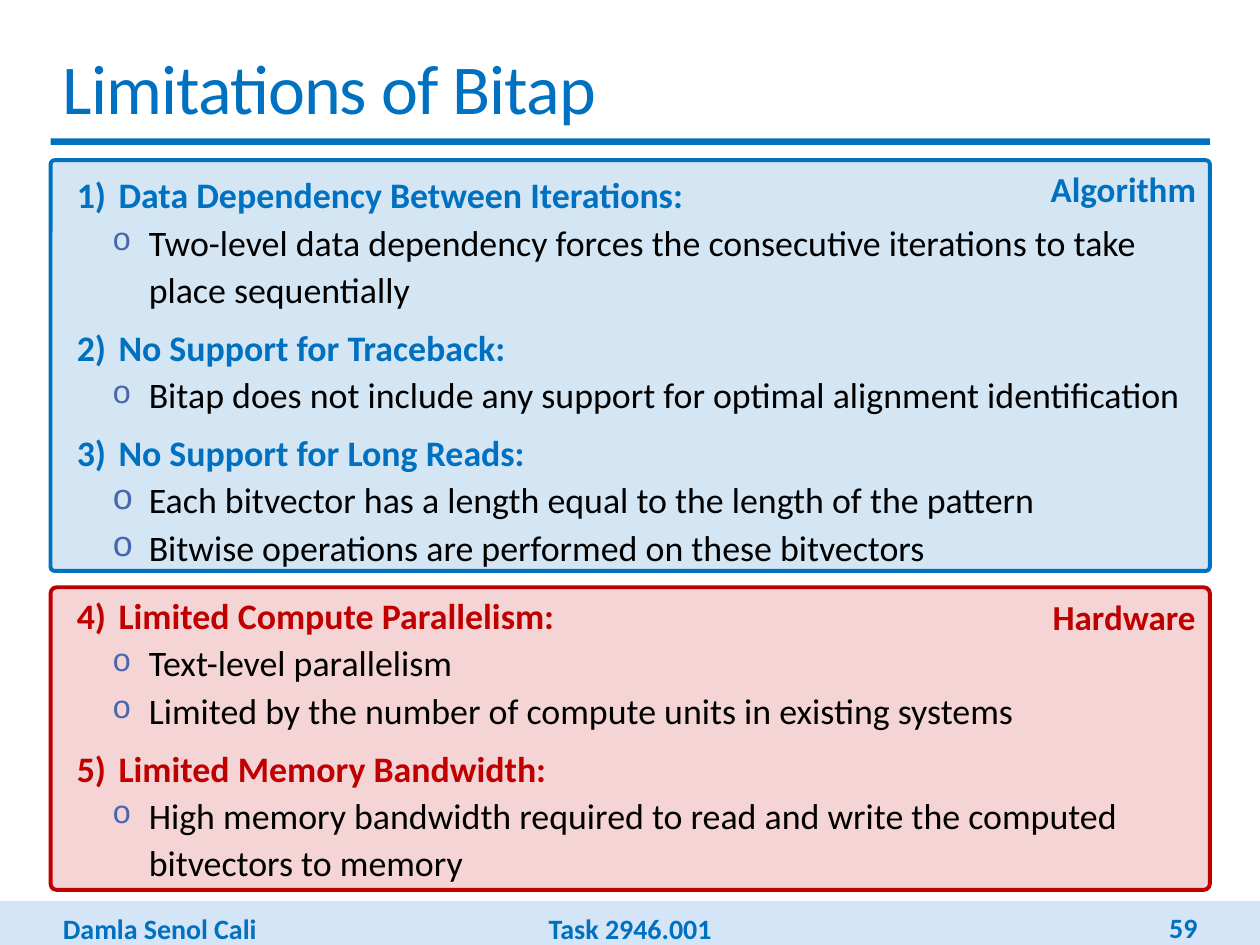
"""Build the slide on the limitations of the Bitap algorithm."""
from lxml import etree
from pptx import Presentation
from pptx.dml.color import RGBColor
from pptx.enum.shapes import MSO_SHAPE
from pptx.enum.text import MSO_ANCHOR, PP_ALIGN
from pptx.oxml.ns import qn
from pptx.util import Cm, Pt

RECTANGLE, ROUNDED = MSO_SHAPE.RECTANGLE, MSO_SHAPE.ROUNDED_RECTANGLE
TOP, MIDDLE = MSO_ANCHOR.TOP, MSO_ANCHOR.MIDDLE
LEFT, CENTER, RIGHT = PP_ALIGN.LEFT, PP_ALIGN.CENTER, PP_ALIGN.RIGHT

BLUE = RGBColor(0x00, 0x70, 0xC0)
RED = RGBColor(0xC0, 0x00, 0x00)
PALE_BLUE = RGBColor(0xD4, 0xE5, 0xF7)
INDIGO = RGBColor(0x4A, 0x66, 0xAC)
BLACK = RGBColor(0x00, 0x00, 0x00)

MARGIN, CONTENT_WIDTH = Cm(1.02), Cm(23.37)
PANEL_ALPHA = 17000

LIMITATIONS = [
    ("Data Dependency Between Iterations:", BLUE, 0, 90,
     ["Two-level data dependency forces the consecutive iterations to take place sequentially"]),
    ("No Support for Traceback:", BLUE, 6, 90,
     ["Bitap does not include any support for optimal alignment identification"]),
    ("No Support for Long Reads:", BLUE, 6, 100,
     ["Each bitvector has a length equal to the length of the pattern",
      "Bitwise operations are performed on these bitvectors"]),
    ("Limited Compute Parallelism:", RED, 12, 90,
     ["Text-level parallelism",
      "Limited by the number of compute units in existing systems"]),
    ("Limited Memory Bandwidth:", RED, 6, 90,
     ["High memory bandwidth required to read and write the computed bitvectors to memory"]),
]


def set_format(target, values):
    """Set each named attribute of the target."""
    for attribute, value in values.items():
        setattr(target, attribute, value)


def write(paragraph, text, size, color, bold=True):
    """Add one formatted run to the paragraph and return it."""
    run = paragraph.add_run()
    run.text = text
    set_format(run.font, {"name": "Calibri", "size": Pt(size), "bold": bold})
    run.font.color.rgb = color
    return run


def add_bar(slide, left, top, width, height, color):
    """Add a plain filled bar."""
    bar = slide.shapes.add_shape(RECTANGLE, left, top, width, height)
    bar.shadow.inherit = False
    bar.fill.solid()
    bar.fill.fore_color.rgb = color
    bar.line.fill.background()


def add_panel(slide, top, height, color, label, corner):
    """Add a translucent rounded panel with a label at its top right."""
    panel = slide.shapes.add_shape(ROUNDED, MARGIN, top, CONTENT_WIDTH, height)
    panel.shadow.inherit = False
    panel.adjustments[0] = corner
    panel.fill.solid()
    panel.fill.fore_color.rgb = color
    tint = panel.fill._xPr.find(qn("a:solidFill"))[0]
    etree.SubElement(tint, qn("a:alpha"), val=str(PANEL_ALPHA))
    panel.line.color.rgb = color
    panel.line.width = Pt(2.25)
    panel.text_frame.vertical_anchor = TOP
    heading = panel.text_frame.paragraphs[0]
    heading.alignment = RIGHT
    write(heading, label, 20, color)


def add_frame(slide, left, top, width, height, anchor=TOP):
    """Add a wrapping text box and return its text frame."""
    frame = slide.shapes.add_textbox(left, top, width, height).text_frame
    set_format(frame, {"word_wrap": True, "vertical_anchor": anchor})
    return frame


def add_label(slide, box, text, size=16, align=LEFT, anchor=TOP, bold=True):
    """Add a single line of blue text and return its run."""
    paragraph = add_frame(slide, *box, anchor).paragraphs[0]
    paragraph.alignment = align
    return write(paragraph, text, size, BLUE, bold)


def set_marker(paragraph, margin, hang, color, number=None, percent=100):
    """Give the paragraph a number, or a round bullet when there is none."""
    properties = paragraph._p.get_or_add_pPr()
    properties.set("marL", str(margin))
    properties.set("indent", str(-hang))
    marker_color = etree.SubElement(properties, qn("a:buClr"))
    etree.SubElement(marker_color, qn("a:srgbClr"), val=str(color))
    etree.SubElement(properties, qn("a:buSzPct"), val=str(percent * 1000))
    if number:
        etree.SubElement(properties, qn("a:buFont"), typeface="Calibri")
        etree.SubElement(properties, qn("a:buAutoNum"),
                         type="arabicParenR", startAt=str(number))
    else:
        etree.SubElement(properties, qn("a:buFont"), typeface="Courier New")
        etree.SubElement(properties, qn("a:buChar"), char="o")


def add_limitations(slide):
    """Add the numbered limitations with their bulleted details."""
    frame = add_frame(slide, MARGIN, Cm(3.28), CONTENT_WIDTH, Cm(13.89))
    set_format(frame, {"margin_left": 0, "margin_right": 0})
    for number, (title, color, gap, percent, details) in enumerate(LIMITATIONS, 1):
        heading = frame.paragraphs[0] if number == 1 else frame.add_paragraph()
        set_marker(heading, Cm(1.37), Cm(0.84), color, number)
        set_format(heading, {"line_spacing": 1.1, "space_before": Pt(gap)})
        write(heading, title, 20.5, color)
        for detail in details:
            point = frame.add_paragraph()
            set_marker(point, Cm(1.98), Cm(0.74), INDIGO, percent=percent)
            set_format(point, {"level": 1, "line_spacing": 1.1, "space_before": Pt(0)})
            write(point, detail, 20.5, BLACK, False)


def main():
    """Build and save the presentation."""
    presentation = Presentation()
    set_format(presentation, {"slide_width": Cm(25.4), "slide_height": Cm(19.05)})
    slide = presentation.slides.add_slide(presentation.slide_layouts[6])
    add_bar(slide, 0, Cm(18.16), Cm(25.4), Cm(1.04), PALE_BLUE)
    add_bar(slide, MARGIN, Cm(2.79), CONTENT_WIDTH, Cm(0.13), BLUE)
    add_label(slide, (MARGIN, Cm(18.26), Cm(6.15), Cm(0.94)), "Damla Senol Cali")
    add_label(slide, (Cm(10.19), Cm(18.26), Cm(5.03), Cm(0.94)), "Task 2946.001", align=CENTER)
    add_panel(slide, Cm(11.84), Cm(6.1), RED, "Hardware", 0.02)
    add_panel(slide, Cm(3.23), Cm(8.28), BLUE, "Algorithm", 0.01)
    title = add_label(slide, (MARGIN, Cm(0.71), CONTENT_WIDTH, Cm(2.08)),
                      "Limitations of Bitap", size=40, anchor=MIDDLE, bold=False)
    title.font._element.set("spc", "-50")
    add_limitations(slide)
    add_label(slide, (Cm(20.88), Cm(18.31), Cm(3.51), Cm(0.76)), "59",
              align=RIGHT, anchor=MIDDLE)
    presentation.save("out.pptx")


if __name__ == "__main__":
    main()
